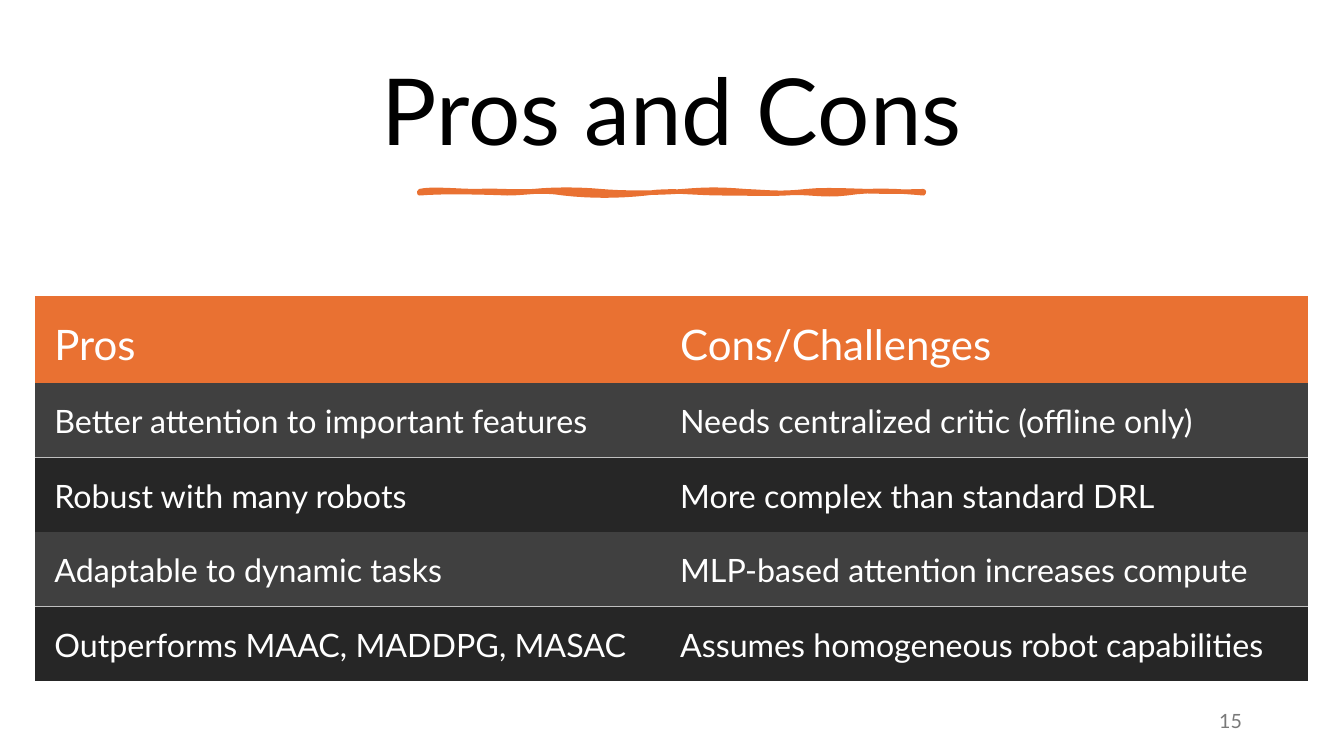
from dataclasses import dataclass

from lxml import etree
from pptx import Presentation
from pptx.dml.color import RGBColor
from pptx.enum.text import MSO_ANCHOR, MSO_AUTO_SIZE, PP_ALIGN
from pptx.oxml.ns import qn
from pptx.util import Cm, Pt

MIDDLE, TOP = MSO_ANCHOR.MIDDLE, MSO_ANCHOR.TOP
CENTER, LEFT, RIGHT = PP_ALIGN.CENTER, PP_ALIGN.LEFT, PP_ALIGN.RIGHT
NO_AUTOFIT = MSO_AUTO_SIZE.NONE
TITLE_ONLY = 5


@dataclass(frozen=True)
class Theme:
    font: str = "Lato"
    black: str = "000000"
    white: str = "FFFFFF"
    accent: str = "E97132"
    row_light: str = "404040"
    row_dark: str = "262626"
    rule: str = "BFBFBF"
    muted: str = "797979"
    title_size: float = 66
    header_size: float = 30
    body_size: float = 23
    number_size: float = 14
    rule_width: float = 1
    stroke_width: float = 3.25


THEME = Theme()

PROS_AND_CONS = [
    ("Pros", "Cons/Challenges"),
    ("Better attention to important features", "Needs centralized critic (offline only)"),
    ("Robust with many robots", "More complex than standard DRL"),
    ("Adaptable to dynamic tasks", "MLP-based attention increases compute"),
    ("Outperforms MAAC, MADDPG, MASAC", "Assumes homogeneous robot capabilities"),
]

# Brush stroke: two control points and an end per curve, in percent of its width
BRUSH_CURVES = [
    ((2.4, -0.6), (7.6, 0), (11.4, 0)),
    ((15.2, -0.2), (18.6, 0.2), (22.6, 0)),
    ((26.6, -0.4), (31.6, -0.4), (36, 0)),
    ((40.2, 0.4), (47.4, 0.4), (52.2, 0)),
    ((57.2, -0.4), (59.6, -0.4), (64.6, 0)),
    ((69.4, 0.2), (71.6, 0.6), (76.8, 0)),
    ((82, -0.6), (90.2, 0.4), (100, 0)),
    ((100.2, 0.2), (100, 0.2), (100, 0.4)),
    ((95.8, 0), (89.8, -0.4), (84.8, 0.4)),
    ((79.8, 1), (77, 0), (72.6, 0.4)),
    ((68, 0.6), (66.2, 0.4), (60.2, 0.4)),
    ((54.2, 0.4), (50.2, -0.4), (45, 0.4)),
    ((39.6, 1), (33.8, 1), (28.6, 0.4)),
    ((23.6, -0.4), (21.4, 0.4), (17.4, 0.4)),
    ((13.4, 0.2), (4.4, 0), (0, 0.4)),
]


def rgb(color):
    return RGBColor.from_string(color)


def write(frame, text, size, color, align=LEFT):
    paragraph = frame.paragraphs[0]
    paragraph.text = text
    paragraph.alignment = align
    paragraph.font.name = THEME.font
    paragraph.font.size = Pt(size)
    paragraph.font.color.rgb = rgb(color)
    return paragraph


def add_title(slide, text):
    title = slide.shapes.title
    title.left, title.top = Cm(1.78), Cm(1.17)
    title.width, title.height = Cm(30.3), Cm(3.48)
    title.text_frame.auto_size = NO_AUTOFIT
    title.text_frame.vertical_anchor = MIDDLE
    write(title.text_frame, text, THEME.title_size, THEME.black, CENTER).line_spacing = 0.9


def curve_points(start, curves, steps=8):
    """Points along a chain of cubic Bézier curves."""
    points = []
    for first, second, end in curves:
        for step in range(1, steps + 1):
            t = step / steps
            weights = ((1 - t) ** 3, 3 * t * (1 - t) ** 2, 3 * t * t * (1 - t), t ** 3)
            corners = (start, first, second, end)
            points.append(tuple(sum(w * c[axis] for w, c in zip(weights, corners))
                                for axis in (0, 1)))
        start = end
    return points


def add_brush_stroke(slide, left, top, width):
    def place(point):
        return Cm(left + point[0] * width / 100), Cm(top + point[1] * width / 100)

    outline = slide.shapes.build_freeform(*place((0, 0)))
    outline.add_line_segments([place(p) for p in curve_points((0, 0), BRUSH_CURVES)])
    stroke = outline.convert_to_shape()
    stroke.shadow.inherit = False
    stroke.fill.solid()
    stroke.fill.fore_color.rgb = rgb(THEME.accent)
    stroke.line.color.rgb = rgb(THEME.accent)
    stroke.line.width = Pt(THEME.stroke_width)


def set_borders(cell, ruled_sides):
    """Rule the named sides (T, B) and clear the others."""
    properties = cell._tc.get_or_add_tcPr()
    for index, side in enumerate("LRTB"):
        border = etree.Element(qn(f"a:ln{side}"), w=str(Pt(THEME.rule_width)))
        if side in ruled_sides:
            fill = etree.SubElement(border, qn("a:solidFill"))
            etree.SubElement(fill, qn("a:srgbClr"), val=THEME.rule)
        else:
            etree.SubElement(border, qn("a:noFill"))
        properties.insert(index, border)


def format_cell(cell, text, size, fill, anchor, ruled_sides):
    cell.margin_left = cell.margin_right = cell.margin_top = Cm(0.48)
    cell.margin_bottom = Cm(0.24)
    cell.vertical_anchor = anchor
    cell.fill.solid()
    cell.fill.fore_color.rgb = rgb(fill)
    write(cell.text_frame, text, size, THEME.white)
    set_borders(cell, ruled_sides)


def add_comparison(slide, rows):
    column_widths = (15.77, 16.31)
    header_height, row_height = 2.19, 1.88
    comparison = slide.shapes.add_table(
        len(rows), len(column_widths), Cm(0.89), Cm(7.45), Cm(sum(column_widths)),
        Cm(header_height + row_height * (len(rows) - 1))).table
    for column, width in zip(comparison.columns, column_widths):
        column.width = Cm(width)

    for number, texts in enumerate(rows):
        comparison.rows[number].height = Cm(row_height if number else header_height)
        if number == 0:
            style = (THEME.header_size, THEME.accent, MIDDLE, "")
        elif number % 2:
            style = (THEME.body_size, THEME.row_light, TOP, "B")
        else:
            style = (THEME.body_size, THEME.row_dark, TOP, "T")
        for cell, text in zip(comparison.rows[number].cells, texts):
            format_cell(cell, text, *style)


def add_page_number(slide, number):
    page_number = slide.shapes.add_textbox(Cm(23.93), Cm(17.65), Cm(7.62), Cm(1.02))
    page_number.text_frame.word_wrap = True
    page_number.text_frame.vertical_anchor = MIDDLE
    write(page_number.text_frame, number, THEME.number_size, THEME.muted, RIGHT)


def main():
    deck = Presentation()
    deck.slide_width, deck.slide_height = Cm(33.87), Cm(19.05)
    slide = deck.slides.add_slide(deck.slide_layouts[TITLE_ONLY])

    # Heading
    add_title(slide, "Pros and Cons")
    add_brush_stroke(slide, left=10.57, top=4.82, width=12.7)

    # Comparison and page number
    add_comparison(slide, PROS_AND_CONS)
    add_page_number(slide, "15")

    deck.save("out.pptx")


if __name__ == "__main__":
    main()
